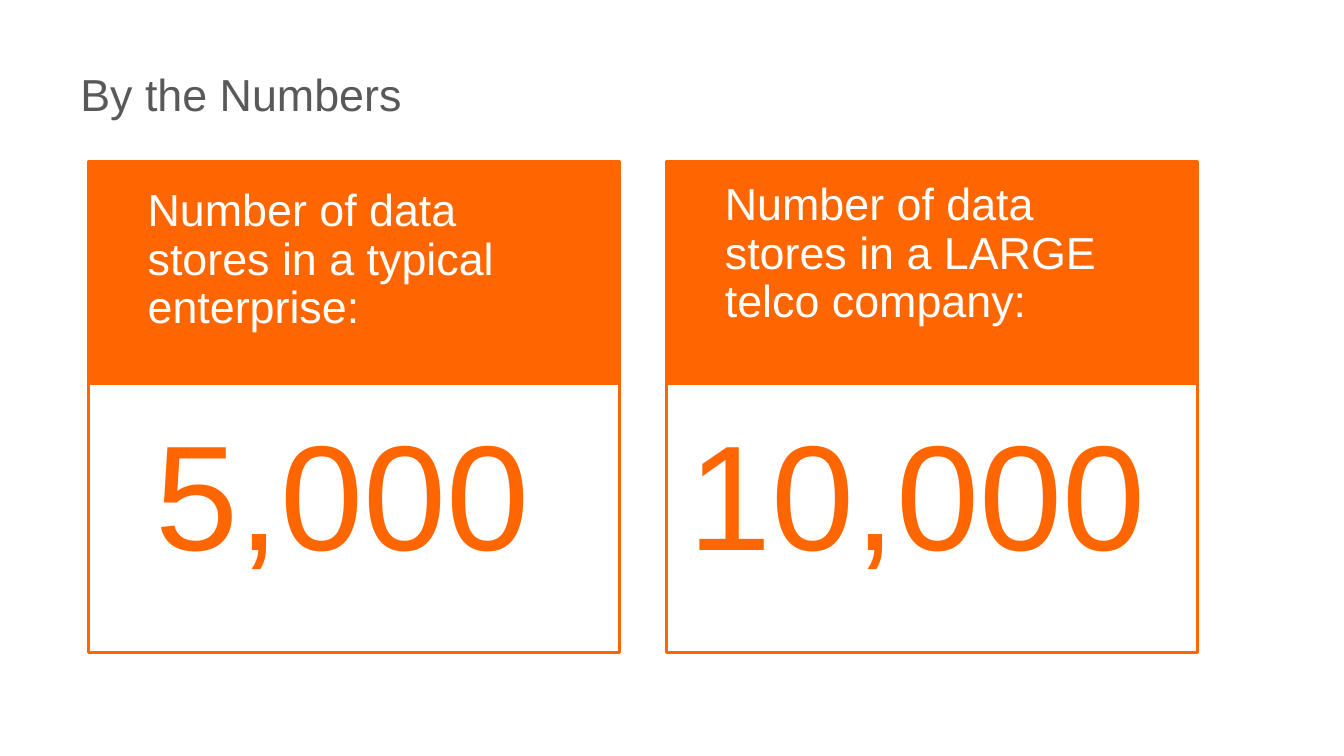
import pptx
import pptx.dml.color
import pptx.enum.shapes
import pptx.enum.text
import pptx.util

PX = 4572  # 200 px to the inch
COLORS = {"orange": "FF6600", "white": "FFFFFF", "gray": "595959"}

CARD_WIDTH = 790
HEADER_TOP, HEADER_HEIGHT = 240, 331
BODY_HEIGHT = 400

# Card left, then caption and figure with their boxes (left, top, width, height)
CARDS = [
    (132, "Number of data stores in a typical enterprise:", (200, 270, 638, 240),
     "5,000", (212, 618, 694, 268)),
    (992, "Number of data stores in a LARGE telco company:", (1059, 261, 676, 240),
     "10,000", (1005, 618, 778, 268)),
]


def rgb(name):
    return pptx.dml.color.RGBColor.from_string(COLORS[name])


def scale(box):
    return [length * PX for length in box]


def add_panel(slide, box, fill):
    shape = slide.shapes.add_shape(
        pptx.enum.shapes.MSO_SHAPE.RECTANGLE, *scale(box))
    shape.shadow.inherit = False
    shape.fill.solid()
    shape.fill.fore_color.rgb = rgb(fill)
    shape.line.color.rgb = rgb("orange")
    shape.line.width = pptx.util.Pt(1.5)


def add_text(slide, box, text, size, color, line_spacing=0.9):
    text_frame = slide.shapes.add_textbox(*scale(box)).text_frame
    text_frame.word_wrap = True
    text_frame.text = text
    paragraph = text_frame.paragraphs[0]
    paragraph.line_spacing = line_spacing
    font = paragraph.runs[0].font
    font.name = "Arial"
    font.size = pptx.util.Pt(size)
    font.color.rgb = rgb(color)
    return text_frame


def add_card(slide, left, caption, caption_box, figure, figure_box):
    body_top = HEADER_TOP + HEADER_HEIGHT
    add_panel(slide, (left, body_top, CARD_WIDTH, BODY_HEIGHT), "white")
    add_panel(slide, (left, HEADER_TOP, CARD_WIDTH, HEADER_HEIGHT), "orange")
    for text_frame in (
        add_text(slide, caption_box, caption, 24, "white"),
        add_text(slide, figure_box, figure, 80, "orange"),
    ):
        text_frame.auto_size = pptx.enum.text.MSO_AUTO_SIZE.SHAPE_TO_FIT_TEXT


def main():
    presentation = pptx.Presentation()
    presentation.slide_width, presentation.slide_height = scale((2000, 1125))
    slide = presentation.slides.add_slide(presentation.slide_layouts[6])

    # Title
    title = add_text(slide, (100, 46, 1800, 188), "By the Numbers", 24, "gray", 1.0)
    title.vertical_anchor = pptx.enum.text.MSO_ANCHOR.MIDDLE

    # Number cards
    for card in CARDS:
        add_card(slide, *card)

    presentation.save("out.pptx")


if __name__ == "__main__":
    main()
